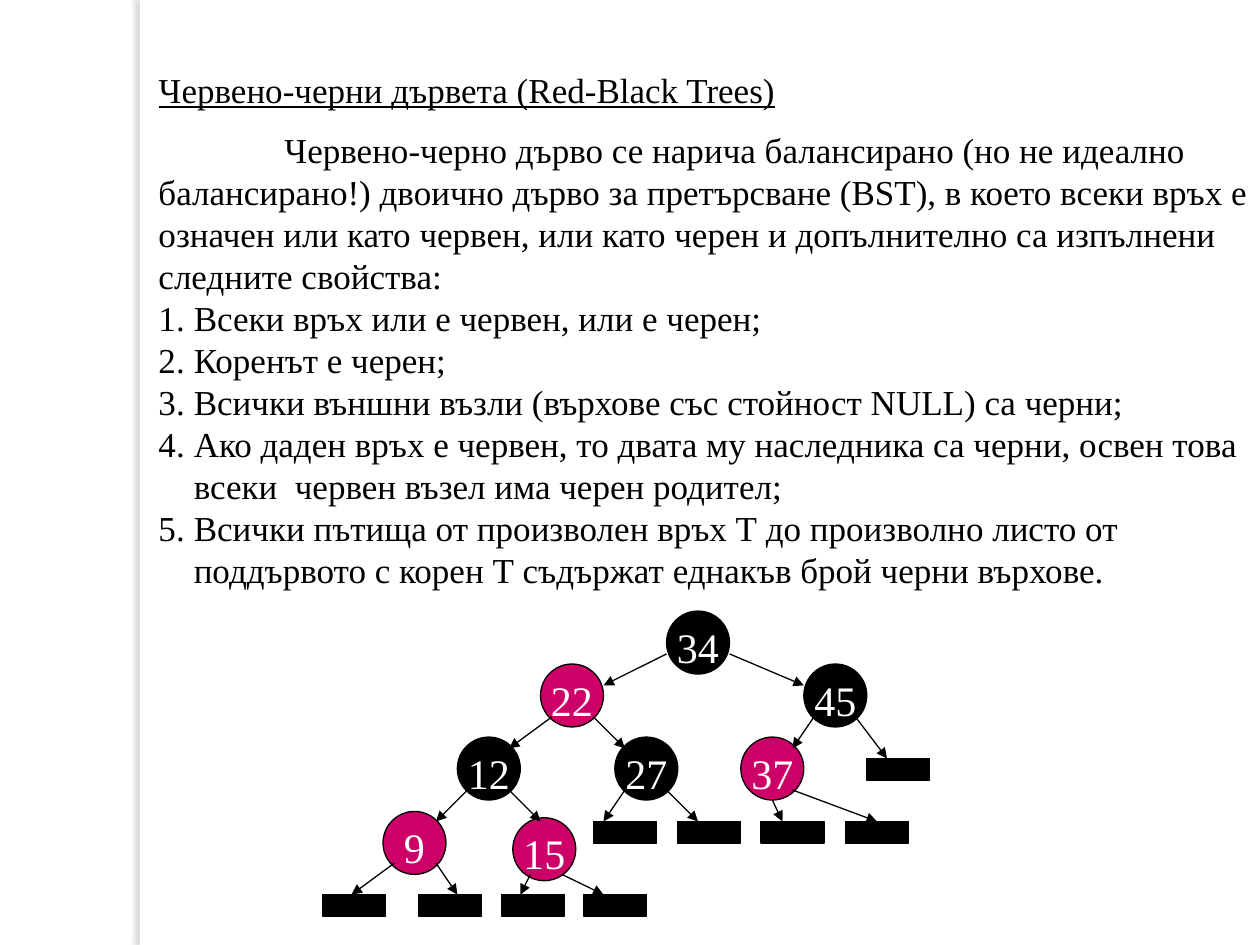
from lxml import etree
from pptx import Presentation
from pptx.dml.color import RGBColor
from pptx.enum import shapes, text
from pptx.oxml import ns, parse_xml
from pptx.util import Inches, Pt

FONT = "Times New Roman"
BLACK = RGBColor(0x00, 0x00, 0x00)
WHITE = RGBColor(0xFF, 0xFF, 0xFF)
RED = RGBColor(0xCC, 0x00, 0x66)

HEADING = "Червено-черни дървета (Red-Black Trees)"
DEFINITION = (
    "Червено-черно дърво се нарича балансирано (но не идеално балансирано!) "
    "двоично дърво за претърсване (ВST), в което всеки връх е означен или като "
    "червен, или като черен и допълнително са изпълнени следните свойства:"
)
PROPERTIES = [
    "Всеки връх или е червен, или е черен;",
    "Коренът е черен;",
    "Всички външни възли (върхове със стойност NULL) са черни;",
    "Ако даден връх е червен, то двата му наследника са черни, освен това "
    "всеки  червен възел има черен родител;",
    "Всички пътища от произволен връх Т до произволно листо от "
    "поддървото с корен Т съдържат еднакъв брой черни върхове.",
]

# Inner nodes: key, colour, left, top
NODE_SIZE = 0.5
NODES = [
    ("34", BLACK, 5.29, 4.85),
    ("22", RED, 4.29, 5.27), ("45", BLACK, 6.38, 5.27),
    ("12", BLACK, 3.63, 5.85), ("27", BLACK, 4.88, 5.85), ("37", RED, 5.88, 5.85),
    ("9", RED, 3.04, 6.44), ("15", RED, 4.07, 6.49),
]
# NULL leaves: top -> left edges
LEAF_W, LEAF_H = 0.5, 0.17
LEAVES = {
    6.02: [6.88],
    6.52: [4.71, 5.38, 6.04, 6.71],
    7.1: [2.56, 3.32, 3.98, 4.63],
}
# Parent key -> (x1, y1, x2, y2) of the arrows to its children
EDGES = {
    "34": [(5.29, 5.19, 4.79, 5.44), (5.79, 5.19, 6.38, 5.44)],
    "22": [(4.38, 5.69, 4.04, 5.94), (4.71, 5.69, 4.96, 5.94)],
    "45": [(6.46, 5.69, 6.29, 5.94), (6.79, 5.69, 7.04, 6.02)],
    "12": [(3.71, 6.27, 3.46, 6.52), (4.04, 6.27, 4.29, 6.52)],
    "27": [(4.96, 6.27, 4.79, 6.52), (5.29, 6.27, 5.54, 6.52)],
    "37": [(6.13, 6.35, 6.21, 6.52), (6.29, 6.27, 6.96, 6.52)],
    "9": [(3.13, 6.85, 2.79, 7.1), (3.46, 6.85, 3.63, 7.1)],
    "15": [(4.21, 6.94, 4.13, 7.1), (4.46, 6.94, 4.79, 7.1)],
}

STRIP_SHADOW = (
    f'<a:effectLst {ns.nsdecls("a")}>'
    '<a:outerShdw blurRad="38100" dist="38100" dir="10800000" algn="ctr" rotWithShape="0">'
    '<a:srgbClr val="736F63"><a:alpha val="25000"/></a:srgbClr>'
    "</a:outerShdw></a:effectLst>"
)


def add_shape(s, kind, left, top, width, height, fill, line=BLACK):
    sp = s.shapes.add_shape(kind, Inches(left), Inches(top), Inches(width), Inches(height))
    sp.shadow.inherit = False
    sp.fill.solid()
    sp.fill.fore_color.rgb = fill
    if line is None:
        sp.line.fill.background()
    else:
        sp.line.color.rgb = line
        sp.line.width = Pt(0.75)
    return sp


def add_strip(s):
    sp = add_shape(s, shapes.MSO_SHAPE.RECTANGLE, 1.11, 0, 0.08, 7.5, WHITE, line=None)
    pr = sp.element.spPr
    pr.replace(pr.find(ns.qn("a:effectLst")), parse_xml(STRIP_SHADOW))


def place_text(sp, top, height):
    """Give the heading and the body the same column and top alignment."""
    sp.left, sp.top, sp.width, sp.height = map(Inches, (1.16, top, 8.84, height))
    tf = sp.text_frame
    tf.word_wrap = True
    tf.auto_size = text.MSO_AUTO_SIZE.NONE
    tf.vertical_anchor = text.MSO_ANCHOR.TOP
    tf.margin_left = Inches(0.1)
    tf.margin_right = Inches(0.05)
    tf.margin_top = tf.margin_bottom = Inches(0.05)
    return tf


def format_text(p, size, color, align=text.PP_ALIGN.LEFT):
    p.alignment = align
    for r in p.runs:
        r.font.name = FONT
        r.font.size = Pt(size)
        r.font.color.rgb = color


def add_heading(s):
    p = place_text(s.shapes.title, 0.49, 0.45).paragraphs[0]
    p.text = HEADING
    p.line_spacing = Pt(24)
    format_text(p, 20, BLACK)
    p.runs[0].font.underline = True


def add_body(s):
    tf = place_text(s.shapes.add_textbox(0, 0, 0, 0), 0.97, 3.8)
    for i, line in enumerate([DEFINITION] + PROPERTIES):
        p = tf.add_paragraph() if i else tf.paragraphs[0]
        p.text = line
        p.line_spacing = Pt(24)
        pr = p._p.get_or_add_pPr()
        if i:
            pr.set("marL", str(Inches(0.28)))
            pr.set("indent", str(Inches(-0.28)))
            etree.SubElement(pr, ns.qn("a:buFont"), typeface=FONT)
            etree.SubElement(pr, ns.qn("a:buAutoNum"), type="arabicPeriod")
        else:
            pr.set("indent", str(Inches(1)))
        format_text(p, 20, BLACK)


def add_node(s, key, color, left, top):
    sp = add_shape(s, shapes.MSO_SHAPE.OVAL, left, top, NODE_SIZE, NODE_SIZE, color)
    tf = sp.text_frame
    tf.word_wrap = False
    tf.vertical_anchor = text.MSO_ANCHOR.MIDDLE
    tf.margin_left = tf.margin_right = tf.margin_bottom = 0
    tf.margin_top = Inches(0.06)
    tf.text = key
    format_text(tf.paragraphs[0], 24, WHITE, text.PP_ALIGN.CENTER)


def add_arrow(s, *ends):
    c = s.shapes.add_connector(shapes.MSO_CONNECTOR.STRAIGHT, *map(Inches, ends))
    c.line.color.rgb = BLACK
    c.line.width = Pt(0.75)
    etree.SubElement(c.line._get_or_add_ln(), ns.qn("a:tailEnd"), type="triangle")
    etree.SubElement(c._element.spPr, ns.qn("a:effectLst"))


def main():
    prs = Presentation()
    prs.slide_width, prs.slide_height = Inches(10), Inches(7.5)
    s = prs.slides.add_slide(prs.slide_layouts[5])
    add_strip(s)
    add_heading(s)
    add_body(s)
    for node in NODES:
        add_node(s, *node)
    for top, lefts in LEAVES.items():
        for left in lefts:
            add_shape(s, shapes.MSO_SHAPE.RECTANGLE, left, top, LEAF_W, LEAF_H, BLACK)
    for arrows in EDGES.values():
        for ends in arrows:
            add_arrow(s, *ends)
    prs.save("out.pptx")


if __name__ == "__main__":
    main()
